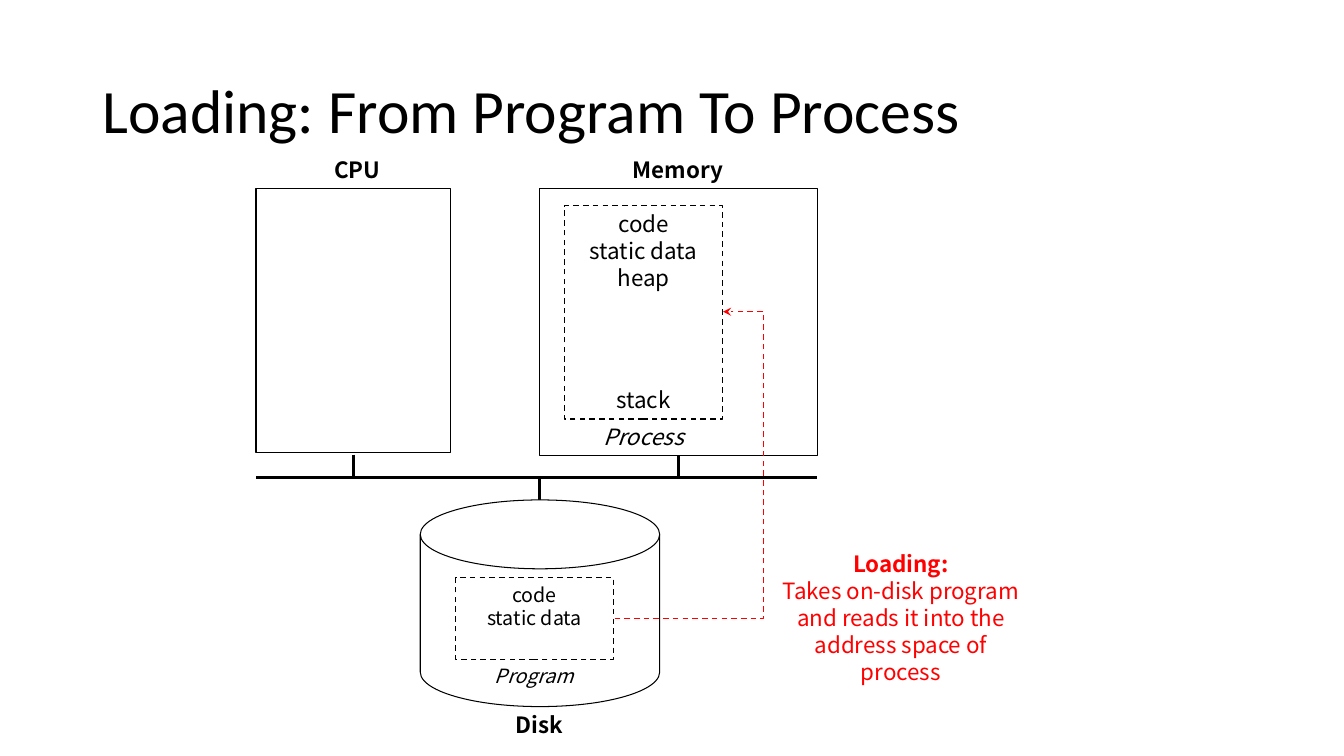
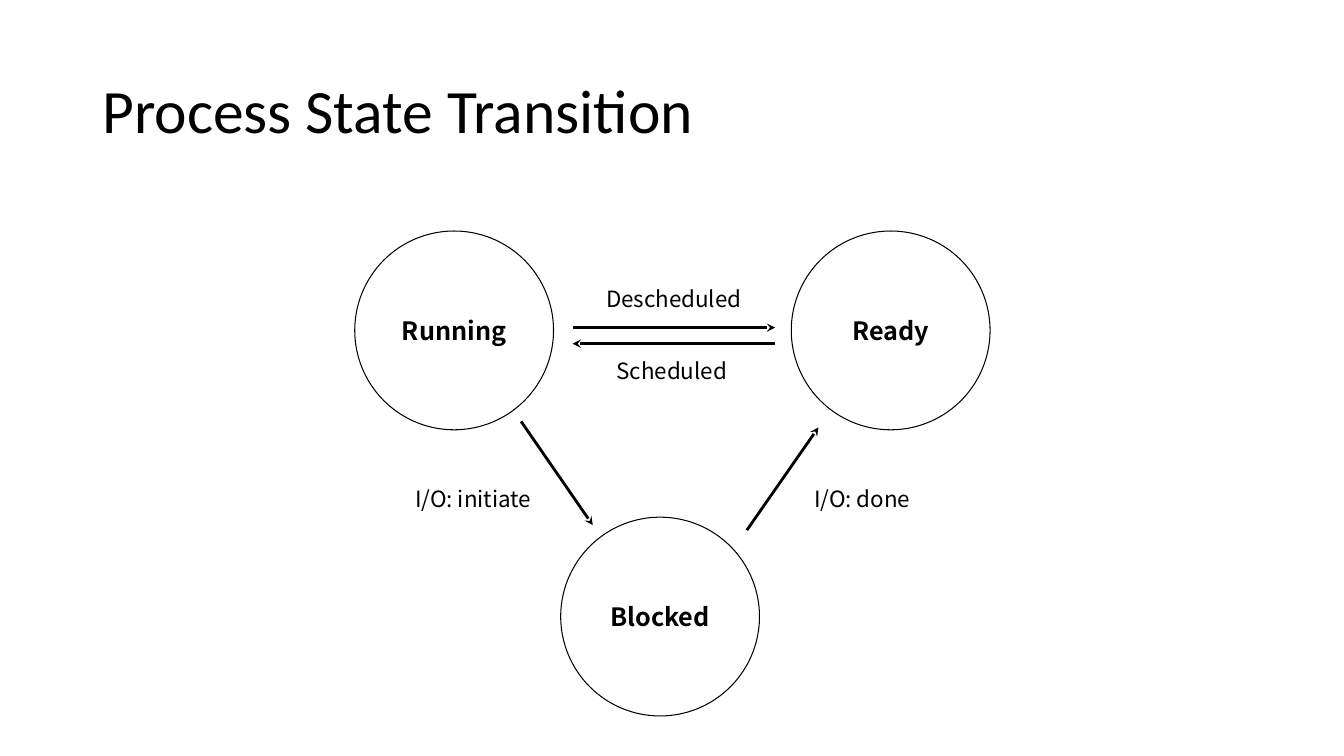
import lxml.etree
import pptx
import pptx.dml.color
import pptx.enum.dml
import pptx.enum.shapes
import pptx.enum.text
import pptx.oxml.ns
import pptx.util

Pt = pptx.util.Pt
SHAPE = pptx.enum.shapes.MSO_SHAPE
CONNECTOR = pptx.enum.shapes.MSO_CONNECTOR
ANCHOR = pptx.enum.text.MSO_ANCHOR
ALIGN = pptx.enum.text.PP_ALIGN


def color(value):
    return pptx.dml.color.RGBColor.from_string(value)


def apply(target, values):
    for name, value in values.items():
        setattr(target, name, value)


def add_element(parent, tag, **attributes):
    return lxml.etree.SubElement(parent, pptx.oxml.ns.qn(tag), attributes)


class Deck:
    BLACK = "000000"
    WHITE = "FFFFFF"
    RED = "FF0000"
    TITLE_FONT = "Calibri"
    BODY_FONT = "Noto Sans CJK KR"
    LABEL_WIDTH = 113
    LABEL_HEIGHT = 26.8

    def __init__(self):
        self.presentation = pptx.Presentation()
        apply(self.presentation, {"slide_width": Pt(960), "slide_height": Pt(540)})
        self.slide = None

    def add_slide(self, title):
        self.slide = self.presentation.slides.add_slide(self.presentation.slide_layouts[6])
        shape = self.slide.shapes.add_textbox(Pt(66), Pt(28.75), Pt(828), Pt(104.4))
        self.fill_text(shape, [title], {"vertical_anchor": ANCHOR.MIDDLE},
                       {"alignment": ALIGN.LEFT, "line_spacing": 0.9},
                       {"name": self.TITLE_FONT, "size": Pt(44)})

    def fill_text(self, shape, lines, frame_format, paragraph_format, font_format,
                  text_color=BLACK):
        frame = shape.text_frame
        apply(frame, {"word_wrap": True, **frame_format})
        for index, line in enumerate(lines):
            paragraph = frame.add_paragraph() if index else frame.paragraphs[0]
            paragraph.text = line
            apply(paragraph, {"alignment": ALIGN.CENTER, **paragraph_format})
            apply(paragraph.font, {"name": self.BODY_FONT, **font_format})
            paragraph.font.color.rgb = color(text_color)
        return frame

    def label(self, left, top, *lines, width=LABEL_WIDTH, height=LABEL_HEIGHT,
              size=16, text_color=BLACK, **font_format):
        shape = self.slide.shapes.add_textbox(Pt(left), Pt(top), Pt(width), Pt(height))
        return self.fill_text(shape, lines, {"vertical_anchor": ANCHOR.TOP}, {},
                              {"size": Pt(size), **font_format}, text_color)

    def stroke(self, line, width, line_color=BLACK, dashed=False):
        line.width = Pt(width)
        line.color.rgb = color(line_color)
        if dashed:
            line.dash_style = pptx.enum.dml.MSO_LINE.DASH

    def box(self, kind, left, top, width, height, weight=1, dashed=False):
        shape = self.slide.shapes.add_shape(kind, Pt(left), Pt(top), Pt(width), Pt(height))
        shape.shadow.inherit = False
        shape.fill.solid()
        shape.fill.fore_color.rgb = color(self.WHITE)
        self.stroke(shape.line, weight, dashed=dashed)
        return shape

    def state(self, left, top, diameter, name):
        shape = self.box(SHAPE.OVAL, left, top, diameter, diameter, 0.75)
        self.fill_text(shape, [name],
                       {"vertical_anchor": ANCHOR.MIDDLE, "margin_left": 0, "margin_right": 0},
                       {}, {"size": Pt(18), "bold": True})

    def line(self, start, end, weight=2, line_color=BLACK, dashed=False,
             arrow=False, bend=None):
        kind = CONNECTOR.ELBOW if bend else CONNECTOR.STRAIGHT
        connector = self.slide.shapes.add_connector(kind, *map(Pt, (*start, *end)))
        self.stroke(connector.line, weight, line_color, dashed)
        properties = connector._element.spPr
        if arrow:
            add_element(properties.find(pptx.oxml.ns.qn("a:ln")), "a:tailEnd", type="stealth")
        add_element(properties, "a:effectLst")
        if bend:
            guides = properties.find(".//" + pptx.oxml.ns.qn("a:avLst"))
            add_element(guides, "a:gd", name="adj1", fmla=f"val {round(bend * 100000)}")


def loading_slide(deck):
    deck.add_slide("Loading: From Program To Process")
    bus_top, process_left, program_left = 341.3, 403.2, 325.4
    cpu_left, memory_left, memory_right = 182.9, 385.2, 583.9

    deck.box(SHAPE.RECTANGLE, cpu_left, 134.6, 139, 188.6)
    deck.label(198.7, 108, "CPU", bold=True)
    deck.line((252.3, 324.7), (252.3, 340.6))

    deck.box(SHAPE.RECTANGLE, memory_left, 134.6, memory_right - memory_left, 190.8)
    deck.label(427.7, 108, "Memory", bold=True)
    deck.box(SHAPE.RECTANGLE, process_left, 146.9, deck.LABEL_WIDTH, 152.4, dashed=True)
    deck.label(process_left, 146.9, "code", "static data", "heap", height=67.7)
    deck.label(process_left, 272.4, "stack")
    deck.label(process_left, 299, "Process", italic=True)
    deck.line((484.4, 325.4), (484.4, bus_top))

    deck.line((cpu_left, bus_top), (memory_right, bus_top))
    deck.line((memory_left, bus_top), (memory_left, 357.1))

    deck.box(SHAPE.FLOWCHART_MAGNETIC_DISK, 300.2, 357.1, 171, 147.6, 0.75)
    deck.box(SHAPE.RECTANGLE, program_left, 412.6, deck.LABEL_WIDTH, 58.3, dashed=True)
    deck.label(program_left, 412.6, "code", "static data", height=58.3, size=14)
    deck.label(program_left, 470.9, "Program", height=24.5, size=14, italic=True)
    deck.label(329, 504.7, "Disk", bold=True)

    deck.line((439, 441.8), (516.4, 222.7), 1, deck.RED, dashed=True, arrow=True, bend=1.376)
    note = deck.label(550, 389.5, "Loading:", "Takes on-disk program",
                      "and reads it into the address space of process",
                      width=187, height=104.4, text_color=deck.RED)
    note.paragraphs[0].font.bold = True


def state_slide(deck):
    deck.add_slide("Process State Transition")
    for left, top, name in ((253.4, 165, "Running"), (565.2, 165, "Ready"),
                            (400.5, 369.4, "Blocked")):
        deck.state(left, top, 142, name)
    for start, end in (((409, 234), (553.7, 234)), ((553.7, 245.5), (409, 245.5)),
                       ((372.2, 301), (423.4, 375.1)), ((533.5, 378.7), (584.6, 305.3))):
        deck.line(start, end, arrow=True)
    for left, top, text in ((424.8, 200.2, "Descheduled"), (423.4, 251.3, "Scheduled"),
                            (281.5, 342.7, "I/O: initiate"), (559.4, 342.7, "I/O: done")):
        deck.label(left, top, text)


def main():
    deck = Deck()
    loading_slide(deck)
    state_slide(deck)
    deck.presentation.save("out.pptx")


if __name__ == "__main__":
    main()
